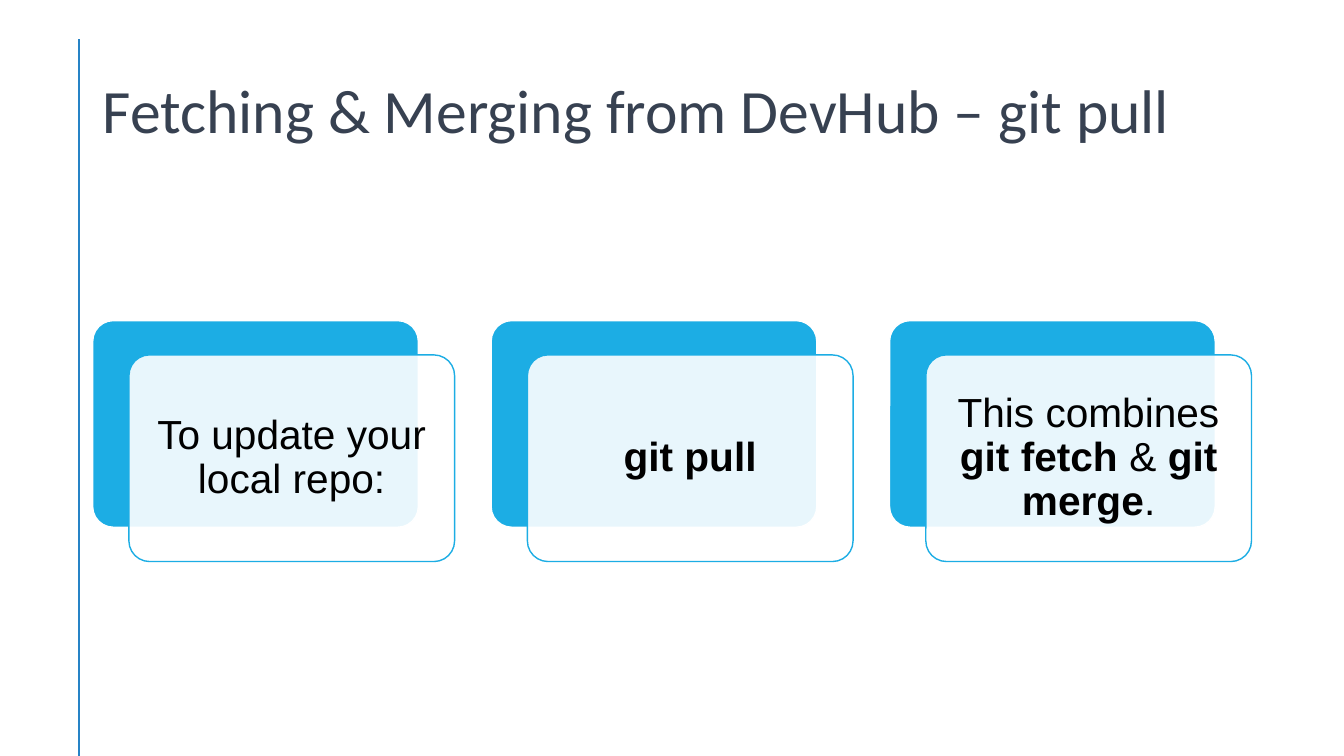
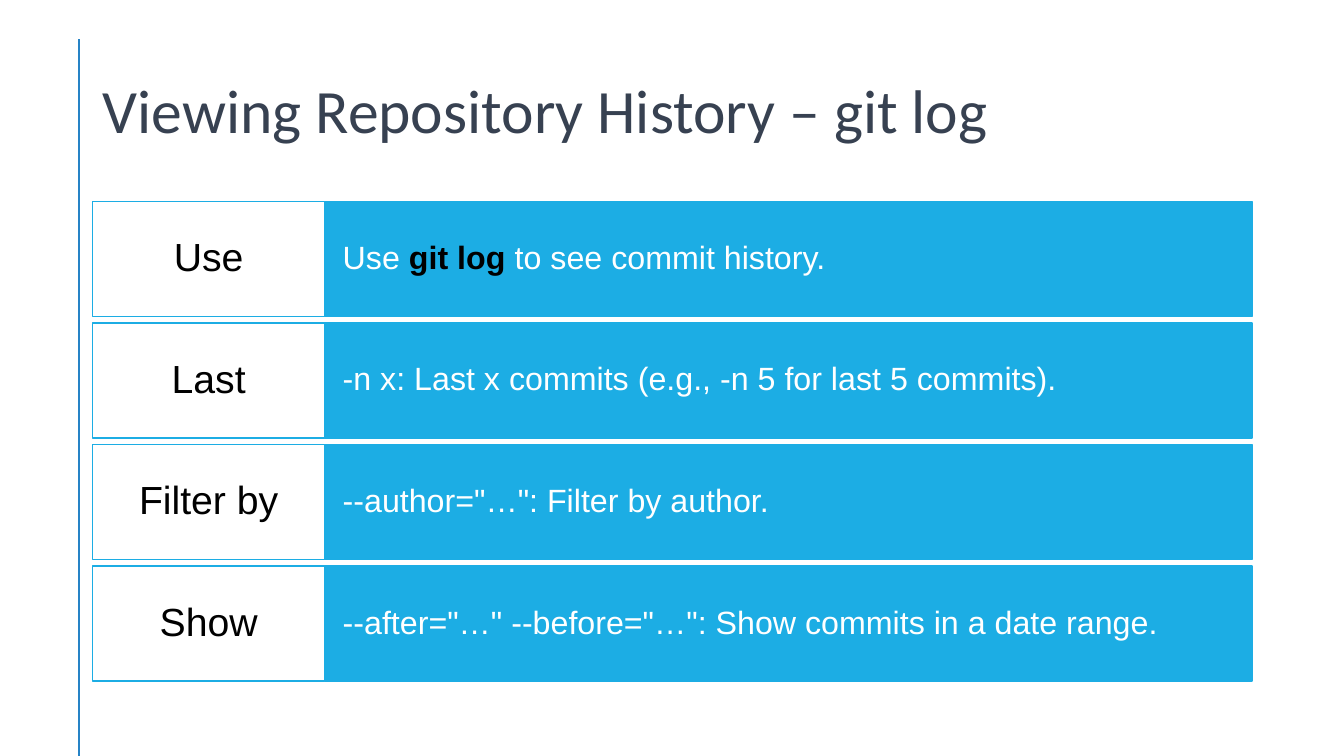
from dataclasses import dataclass

from lxml import etree
from pptx import Presentation
from pptx import util as u
from pptx.dml import color
from pptx.enum import shapes, text
from pptx.oxml import ns

SLATE = color.RGBColor(0x37, 0x41, 0x51)
RULE_BLUE = color.RGBColor(0x26, 0x83, 0xC6)
SKY = color.RGBColor(0x1C, 0xAD, 0xE4)
WHITE = color.RGBColor(0xFF, 0xFF, 0xFF)
BLACK = color.RGBColor(0x00, 0x00, 0x00)

LEFT = 66.24
CARD_TOP, CARD_WIDTH, CARD_HEIGHT, CARD_STEP = 229, 232.6, 147.6, 284.6
CARD_SHIFT_X, CARD_SHIFT_Y = 25.9, 24.5
ROW_TOP, ROW_HEIGHT, ROW_STEP = 144, 82, 86.8
LABEL_WIDTH, BAR_WIDTH = 165.6, 662.4


@dataclass(frozen=True)
class Span:
    words: str
    bold: bool = False
    ink: color.RGBColor = BLACK


@dataclass(frozen=True)
class Box:
    left: float
    top: float
    width: float
    height: float
    fill: color.RGBColor
    line: color.RGBColor
    kind: shapes.MSO_SHAPE = shapes.MSO_SHAPE.RECTANGLE


@dataclass(frozen=True)
class TextStyle:
    size: float
    inset: float
    align: text.PP_ALIGN = text.PP_ALIGN.CENTER
    font: str = "Arial"


@dataclass(frozen=True)
class LogRow:
    label: str
    spans: tuple[Span, ...]


TITLE_TEXT = TextStyle(44, 7.2, text.PP_ALIGN.LEFT, "Calibri")
CARD_TEXT = TextStyle(29, 8.64)
LABEL_TEXT = TextStyle(28, 8.64)
BAR_TEXT = TextStyle(23, 12.96, text.PP_ALIGN.LEFT)

PULL_CARDS = (
    (Span("To update your local repo:"),),
    (Span("git pull", bold=True),),
    (
        Span("This combines "),
        Span("git fetch", bold=True),
        Span(" & "),
        Span("git merge", bold=True),
        Span("."),
    ),
)

LOG_ROWS = (
    LogRow("Use", (
        Span("Use ", ink=WHITE),
        Span("git log ", bold=True),
        Span("to see commit history.", ink=WHITE),
    )),
    LogRow("Last", (
        Span("-n x: Last x commits (e.g., -n 5 for last 5 commits).", ink=WHITE),
    )),
    LogRow("Filter by", (Span('--author="…": Filter by author.', ink=WHITE),)),
    LogRow("Show", (
        Span('--after="…" --before="…": Show commits in a date range.', ink=WHITE),
    )),
)


def apply_format(target, values: dict) -> None:
    for name, value in values.items():
        setattr(target, name, value)


def write_text(shape, spans: tuple[Span, ...], style: TextStyle) -> None:
    frame = shape.text_frame
    apply_format(frame, {
        "word_wrap": True,
        "auto_size": text.MSO_AUTO_SIZE.NONE,
        "vertical_anchor": text.MSO_ANCHOR.MIDDLE,
        "margin_left": u.Pt(style.inset),
        "margin_right": u.Pt(style.inset),
    })
    para = frame.paragraphs[0]
    apply_format(para, {"alignment": style.align, "line_spacing": 0.9})
    for span in spans:
        run = para.add_run()
        run.text = span.words
        apply_format(run.font, {
            "name": style.font, "size": u.Pt(style.size), "bold": span.bold,
        })
        run.font.color.rgb = span.ink


def draw_box(page, box: Box):
    shape = page.shapes.add_shape(
        box.kind, u.Pt(box.left), u.Pt(box.top), u.Pt(box.width), u.Pt(box.height)
    )
    shape.shadow.inherit = False
    shape.fill.solid()
    shape.fill.fore_color.rgb = box.fill
    shape.line.color.rgb = box.line
    shape.line.width = u.Pt(1)
    if box.kind == shapes.MSO_SHAPE.ROUNDED_RECTANGLE:
        shape.adjustments[0] = 0.1
    return shape


def set_opacity(shape, percent: int) -> None:
    fill_color = shape.element.spPr.find(ns.qn("a:solidFill"))[0]
    etree.SubElement(fill_color, ns.qn("a:alpha"), val=str(percent * 1000))


def add_page(deck, title: str):
    page = deck.slides.add_slide(deck.slide_layouts.get_by_name("Title Only"))
    rule = page.shapes.add_connector(
        shapes.MSO_CONNECTOR.STRAIGHT, u.Pt(56.4), u.Pt(28), u.Pt(56.4), u.Pt(540)
    )
    rule.line.color.rgb = RULE_BLUE
    rule.line.width = u.Pt(2)
    etree.SubElement(rule.element.spPr, ns.qn("a:effectLst"))
    apply_format(page.shapes.title, {
        "left": u.Pt(LEFT), "top": u.Pt(28.8),
        "width": u.Pt(828), "height": u.Pt(104.4),
    })
    write_text(page.shapes.title, (Span(title, ink=SLATE),), TITLE_TEXT)
    return page


def draw_card(page, index: int, spans: tuple[Span, ...]) -> None:
    left = LEFT + index * CARD_STEP
    rounded = shapes.MSO_SHAPE.ROUNDED_RECTANGLE
    draw_box(page, Box(
        left, CARD_TOP, CARD_WIDTH, CARD_HEIGHT, SKY, WHITE, rounded
    ))
    front = draw_box(page, Box(
        left + CARD_SHIFT_X, CARD_TOP + CARD_SHIFT_Y,
        CARD_WIDTH, CARD_HEIGHT, WHITE, SKY, rounded,
    ))
    set_opacity(front, 90)
    write_text(front, spans, CARD_TEXT)


def draw_row(page, index: int, row: LogRow) -> None:
    top = ROW_TOP + index * ROW_STEP
    bar = draw_box(page, Box(
        LEFT + LABEL_WIDTH, top, BAR_WIDTH, ROW_HEIGHT, SKY, SKY
    ))
    write_text(bar, row.spans, BAR_TEXT)
    label = draw_box(page, Box(LEFT, top, LABEL_WIDTH, ROW_HEIGHT, WHITE, SKY))
    write_text(label, (Span(row.label),), LABEL_TEXT)


def main() -> None:
    deck = Presentation()
    apply_format(deck, {"slide_width": u.Pt(960), "slide_height": u.Pt(540)})

    pull_page = add_page(deck, "Fetching & Merging from DevHub – git pull")
    for index, spans in enumerate(PULL_CARDS):
        draw_card(pull_page, index, spans)

    log_page = add_page(deck, "Viewing Repository History – git log")
    for index, row in enumerate(LOG_ROWS):
        draw_row(log_page, index, row)

    deck.save("out.pptx")


if __name__ == "__main__":
    main()
